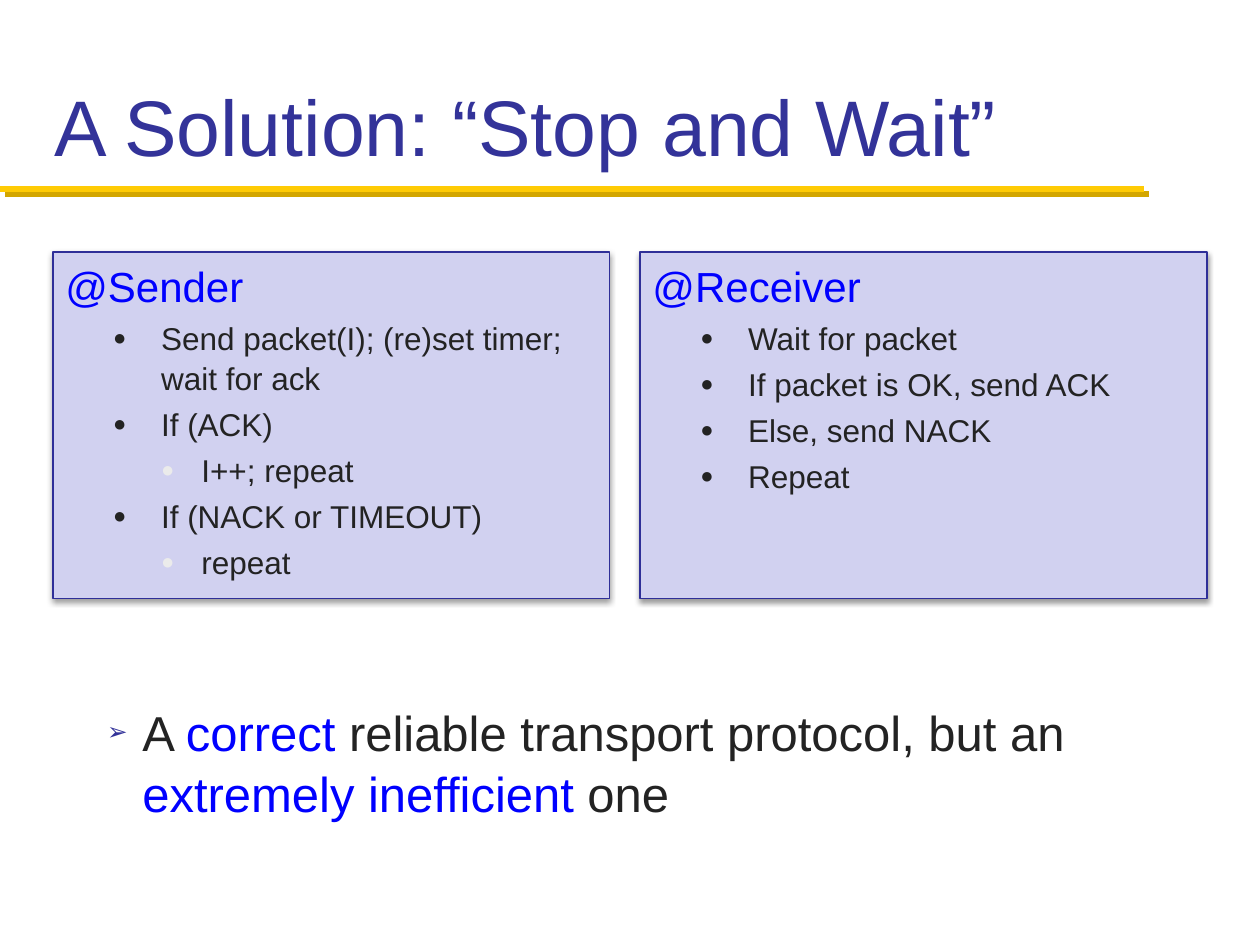
from lxml import etree
from pptx import Presentation
from pptx import util as u
from pptx.dml.color import RGBColor
from pptx.enum import shapes, text
from pptx.oxml.ns import qn

FONT = "Arial"
NAVY, BLUE, INK, PALE = "333399", "0000FF", "232323", "EBEBEB"
GOLD, DARK_GOLD, LILAC, BORDER = "FFCB05", "D3A600", "D1D1F0", "2F2F98"


def color(value):
    return RGBColor.from_string(value)


def child(parent, tag, **attributes):
    element = etree.SubElement(parent, qn(tag))
    for name, value in attributes.items():
        element.set(name, str(value))
    return element


class SlideBuilder:
    def __init__(self, slide):
        self.slide = slide

    def place(self, shape, left, top, width, height):
        shape.left, shape.top = u.Inches(left), u.Inches(top)
        shape.width, shape.height = u.Inches(width), u.Inches(height)

    def shadow(self, shape, value, opacity, blur, distance, angle):
        properties = shape._element.spPr
        effects = child(properties, "a:effectLst")
        outer = child(effects, "a:outerShdw", blurRad=int(u.Pt(blur)),
                      dist=int(u.Pt(distance)), dir=angle * 60000,
                      algn="ctr", rotWithShape=0)
        tint = child(outer, "a:srgbClr", val=value)
        child(tint, "a:alpha", val=opacity * 1000)

    def style(self, paragraph, size, value, line_spacing=1.05):
        paragraph.font.name = FONT
        paragraph.font.size = u.Pt(size)
        paragraph.font.color.rgb = color(value)
        paragraph.alignment = text.PP_ALIGN.LEFT
        paragraph.line_spacing = line_spacing
        paragraph.space_before = u.Pt(size * 0.2)

    def bullet(self, paragraph, mark, value, percent, margin, hanging):
        properties = paragraph._p.get_or_add_pPr()
        properties.set("marL", str(int(u.Inches(margin))))
        properties.set("indent", str(-int(u.Inches(hanging))))
        tint = etree.Element(qn("a:buClr"))
        child(tint, "a:srgbClr", val=value)
        size = etree.Element(qn("a:buSzPct"), val=str(percent * 1000))
        font = etree.Element(qn("a:buFont"), typeface=FONT)
        character = etree.Element(qn("a:buChar"), char=mark)
        # Bullet settings come after spacing and before run defaults
        defaults = properties.find(qn("a:defRPr"))
        for element in (tint, size, font, character):
            if defaults is None:
                properties.append(element)
            else:
                defaults.addprevious(element)

    def rule(self, left, top, right):
        line = self.slide.shapes.add_connector(
            shapes.MSO_CONNECTOR.STRAIGHT, u.Inches(left), u.Inches(top),
            u.Inches(right), u.Inches(top))
        line.line.color.rgb = color(GOLD)
        line.line.width = u.Pt(3.5)
        self.shadow(line, DARK_GOLD, 100, 0, 4.2, 45)

    def title(self, wording, *box):
        shape = self.slide.shapes.title
        self.place(shape, *box)
        frame = shape.text_frame
        frame.text = wording
        frame.auto_size = text.MSO_AUTO_SIZE.NONE
        frame.vertical_anchor = text.MSO_ANCHOR.BOTTOM
        self.style(frame.paragraphs[0], 45, NAVY, 1.0)
        frame.paragraphs[0].space_before = u.Pt(0)

    def body(self, runs, *box):
        shape = self.slide.placeholders[1]
        self.place(shape, *box)
        frame = shape.text_frame
        frame.auto_size = text.MSO_AUTO_SIZE.NONE
        paragraph = frame.paragraphs[0]
        self.style(paragraph, 28, INK)
        self.bullet(paragraph, "\u27a2", NAVY, 50, 0.28, 0.28)
        for wording, value in runs:
            run = paragraph.add_run()
            run.text = wording
            run.font.name = FONT
            run.font.size = u.Pt(28)
            run.font.color.rgb = color(value)

    def panel(self, heading, steps, *box):
        shape = self.slide.shapes.add_shape(
            shapes.MSO_SHAPE.RECTANGLE, *map(u.Inches, box))
        shape.fill.solid()
        shape.fill.fore_color.rgb = color(LILAC)
        shape.line.color.rgb = color(BORDER)
        shape.line.width = u.Pt(0.75)
        self.shadow(shape, "000000", 38, 3.1, 1.6, 90)
        frame = shape.text_frame
        frame.word_wrap = True
        frame.vertical_anchor = text.MSO_ANCHOR.TOP
        frame.text = heading
        self.style(frame.paragraphs[0], 24, BLUE)
        for level, wording in steps:
            paragraph = frame.add_paragraph()
            paragraph.text = wording
            paragraph.level = level
            self.style(paragraph, 18, INK)
            value, margin, hanging = {1: (INK, 0.76, 0.38),
                                      2: (PALE, 1.08, 0.32)}[level]
            self.bullet(paragraph, "\u25cf", value, 70, margin, hanging)


presentation = Presentation()
presentation.slide_width = u.Inches(10)
presentation.slide_height = u.Inches(7.5)
builder = SlideBuilder(
    presentation.slides.add_slide(presentation.slide_layouts[1]))

# Title and rule
builder.rule(0, 1.5, 9.08)
builder.title("A Solution: “Stop and Wait”", 0.33, 0.17, 9.33, 1.25)

# Conclusion
builder.body([("A ", INK), ("correct", BLUE),
              (" reliable transport protocol, but an ", INK),
              ("extremely inefficient ", BLUE), ("one", INK)],
             0.75, 5.5, 8.83, 1.08)

# Sender and receiver steps
builder.panel("@Sender", [
    (1, "Send packet(I); (re)set timer; wait for ack"),
    (1, "If (ACK)"),
    (2, "I++; repeat"),
    (1, "If (NACK or TIMEOUT)"),
    (2, "repeat"),
], 0.42, 2, 4.42, 2.75)
builder.panel("@Receiver", [
    (1, "Wait for packet"),
    (1, "If packet is OK, send ACK"),
    (1, "Else, send NACK"),
    (1, "Repeat"),
], 5.08, 2, 4.5, 2.75)

presentation.save("out.pptx")
